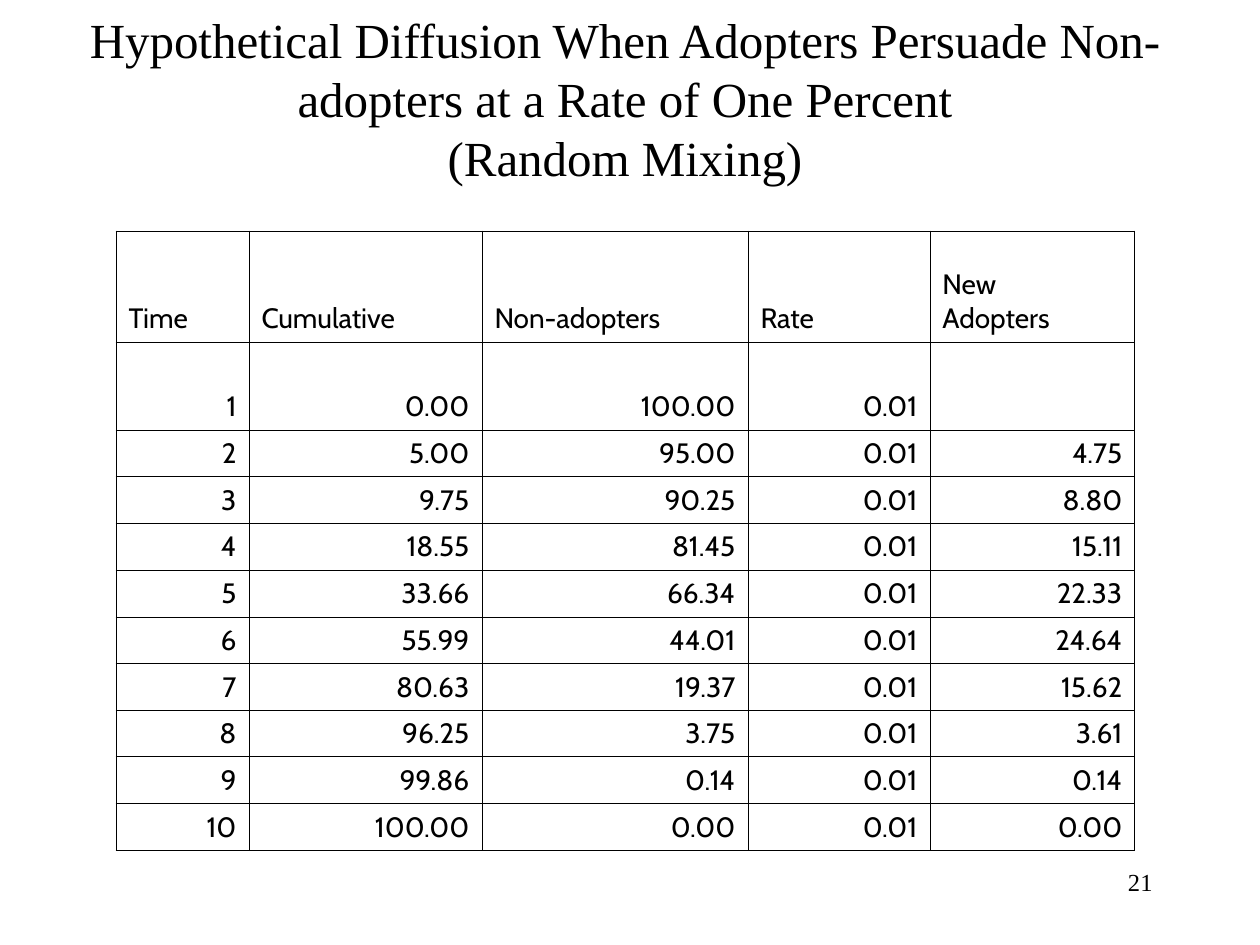
from dataclasses import dataclass

from lxml import etree
from pptx import Presentation
from pptx.dml.color import RGBColor
from pptx.enum.text import MSO_ANCHOR, MSO_AUTO_SIZE, PP_ALIGN
from pptx.oxml.ns import qn
from pptx.util import Emu, Pt

LEFT, CENTER, RIGHT = PP_ALIGN.LEFT, PP_ALIGN.CENTER, PP_ALIGN.RIGHT
TOP, MIDDLE, BOTTOM = MSO_ANCHOR.TOP, MSO_ANCHOR.MIDDLE, MSO_ANCHOR.BOTTOM
NO_AUTOFIT = MSO_AUTO_SIZE.NONE
TITLE_ONLY_LAYOUT = 5
PX_PER_INCH = 126


@dataclass(frozen=True)
class Theme:
    ink: str = "000000"
    serif: str = "Times New Roman"
    sans: str = "Cabin"
    title_size: int = 28
    table_size: int = 16
    number_size: int = 14
    border_width: float = 0.45


@dataclass(frozen=True)
class Box:
    left: int
    top: int
    width: int
    height: int


@dataclass(frozen=True)
class Column:
    heading: tuple[str, ...]
    width: int
    values: tuple[str, ...]


THEME = Theme()
TITLE_BOX = Box(-5, 35, 1260, 126)
NUMBER_BOX = Box(903, 861, 262, 63)
TABLE_LEFT, TABLE_TOP = 116, 231
HANGING_INDENT = 48
TITLE_LINES = (
    "Hypothetical Diffusion When Adopters Persuade Non-adopters at a Rate of One Percent",
    "(Random Mixing)",
)
PERIODS = 10
COLUMNS = (
    Column(("Time",), 133, tuple(str(t) for t in range(1, PERIODS + 1))),
    Column(("Cumulative",), 233, ("0.00", "5.00", "9.75", "18.55", "33.66",
                                  "55.99", "80.63", "96.25", "99.86", "100.00")),
    Column(("Non-adopters",), 266, ("100.00", "95.00", "90.25", "81.45", "66.34",
                                    "44.01", "19.37", "3.75", "0.14", "0.00")),
    Column(("Rate",), 182, ("0.01",) * PERIODS),
    Column(("New", "Adopters"), 205, ("", "4.75", "8.80", "15.11", "22.33",
                                      "24.64", "15.62", "3.61", "0.14", "0.00")),
)
# Heading row, first period, then equal rows that average 46.5 px
ROW_HEIGHTS = (111, 88, *(46 + i % 2 for i in range(PERIODS - 1)))


def px(length: int) -> Emu:
    return Emu(round(length * 914400 / PX_PER_INCH))


def place(shape, box: Box) -> None:
    for side in ("left", "top", "width", "height"):
        setattr(shape, side, px(getattr(box, side)))


def set_frame(frame, anchor) -> None:
    settings = {"word_wrap": True, "auto_size": NO_AUTOFIT, "vertical_anchor": anchor}
    for name, value in settings.items():
        setattr(frame, name, value)


def add_run(paragraph, text: str, font_name: str, size: int) -> None:
    run = paragraph.add_run()
    run.text = text
    settings = {"name": font_name, "size": Pt(size), "bold": False}
    for name, value in settings.items():
        setattr(run.font, name, value)
    run.font.color.rgb = RGBColor.from_string(THEME.ink)


def add_borders(cell) -> None:
    properties = cell._tc.get_or_add_tcPr()
    for edge in ("a:lnL", "a:lnR", "a:lnT", "a:lnB"):
        line = etree.SubElement(properties, qn(edge), w=str(Pt(THEME.border_width)))
        fill = etree.SubElement(line, qn("a:solidFill"))
        etree.SubElement(fill, qn("a:srgbClr"), val=THEME.ink)


def fill_cell(cell, lines: tuple[str, ...], alignment) -> None:
    add_borders(cell)
    cell.fill.background()
    cell.vertical_anchor = BOTTOM
    indent = {"marL": px(HANGING_INDENT), "indent": -px(HANGING_INDENT)}
    for i, text in enumerate(lines):
        frame = cell.text_frame
        paragraph = frame.add_paragraph() if i else frame.paragraphs[0]
        paragraph.alignment = alignment
        for name, value in indent.items():
            paragraph._p.get_or_add_pPr().set(name, str(int(value)))
        if text:
            add_run(paragraph, text, THEME.sans, THEME.table_size)


def add_slide_number(slide, number: str) -> None:
    page = slide.shapes.add_textbox(0, 0, 0, 0)
    place(page, NUMBER_BOX)
    set_frame(page.text_frame, TOP)
    paragraph = page.text_frame.paragraphs[0]
    paragraph.alignment = RIGHT
    add_run(paragraph, number, THEME.serif, THEME.number_size)


def fill_title(slide) -> None:
    title = slide.shapes.title
    place(title, TITLE_BOX)
    set_frame(title.text_frame, MIDDLE)
    paragraph = title.text_frame.paragraphs[0]
    paragraph.alignment = CENTER
    for i, text in enumerate(TITLE_LINES):
        if i:
            paragraph.add_line_break()
        add_run(paragraph, text, THEME.serif, THEME.title_size)


def add_diffusion_table(slide) -> None:
    width = sum(column.width for column in COLUMNS)
    diffusion = slide.shapes.add_table(
        len(ROW_HEIGHTS), len(COLUMNS),
        px(TABLE_LEFT), px(TABLE_TOP), px(width), px(sum(ROW_HEIGHTS)),
    ).table
    diffusion.horz_banding = False
    for row, height in zip(diffusion.rows, ROW_HEIGHTS):
        row.height = px(height)
    for c, column in enumerate(COLUMNS):
        diffusion.columns[c].width = px(column.width)
        fill_cell(diffusion.cell(0, c), column.heading, LEFT)
        for r, value in enumerate(column.values, start=1):
            fill_cell(diffusion.cell(r, c), (value,), RIGHT)


def main() -> None:
    deck = Presentation()
    deck.slide_width, deck.slide_height = px(1260), px(945)
    slide = deck.slides.add_slide(deck.slide_layouts[TITLE_ONLY_LAYOUT])
    # Title, table of adoption by period, page number
    fill_title(slide)
    add_diffusion_table(slide)
    add_slide_number(slide, "21")
    deck.save("out.pptx")


if __name__ == "__main__":
    main()
